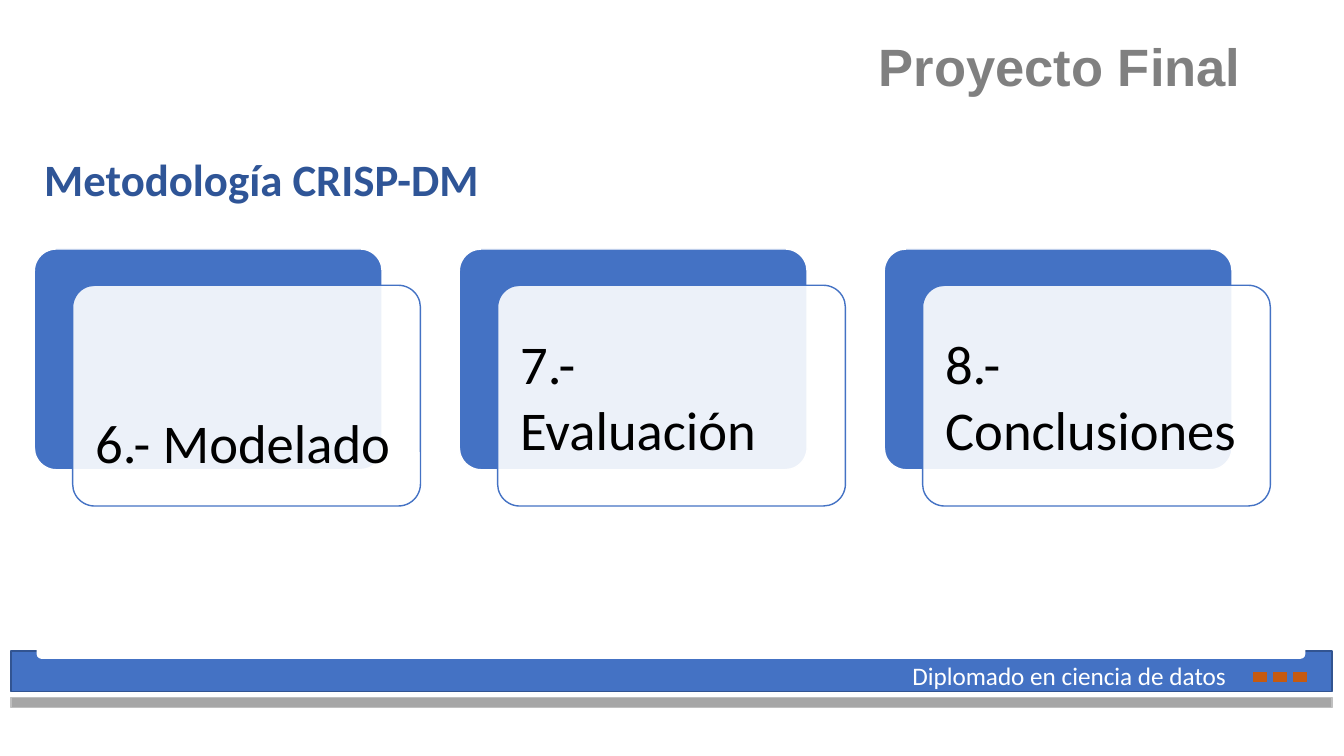
from lxml import etree
from pptx import Presentation, util as u
from pptx.dml.color import RGBColor
from pptx.enum import shapes, text
from pptx.oxml.ns import qn

TITLE = "Proyecto Final"
SUBTITLE = "Metodología CRISP-DM"
FOOTER = "Diplomado en ciencia de datos"
# Phase, vertical anchor, bottom inset
PHASES = [
    ("6.- Modelado", text.MSO_ANCHOR.BOTTOM, 0.25),
    ("7.- Evaluación", text.MSO_ANCHOR.MIDDLE, 0.16),
    ("8.- Conclusiones", text.MSO_ANCHOR.MIDDLE, 0.16),
]

BLUE = RGBColor(0x44, 0x72, 0xC4)
DARK_BLUE = RGBColor(0x32, 0x54, 0x91)
HEADING_BLUE = RGBColor(0x2F, 0x55, 0x97)
GRAY = RGBColor(0x80, 0x80, 0x80)
BAR_GRAY = RGBColor(0xA6, 0xA6, 0xA6)
EDGE_GRAY = RGBColor(0xBF, 0xBF, 0xBF)
ORANGE = RGBColor(0xC5, 0x5A, 0x11)
WHITE = RGBColor(0xFF, 0xFF, 0xFF)
BLACK = RGBColor(0, 0, 0)

RECT = shapes.MSO_SHAPE.RECTANGLE
ROUNDED = shapes.MSO_SHAPE.ROUNDED_RECTANGLE

WIDTH, HEIGHT = 13.33, 7.5
MARGIN = 0.34
CARD_W, CARD_H, CARD_TOP, CARD_PITCH = 3.45, 2.19, 2.47, 4.215
SHIFT_X, SHIFT_Y, INSET = 0.38, 0.36, 0.16
BAR_LEFT, BAR_W = 0.11, 13.1
DOT_LEFT, DOT_PITCH = 12.43, 0.2

deck = Presentation()
deck.slide_width, deck.slide_height = u.Inches(WIDTH), u.Inches(HEIGHT)
slide = deck.slides.add_slide(deck.slide_layouts[5])


def add_block(kind, left, top, width, height, fill, line):
    """Add a flat filled preset shape, measured in inches."""
    block = slide.shapes.add_shape(
        kind, *(u.Inches(n) for n in (left, top, width, height)))
    block.shadow.inherit = False
    block.fill.solid()
    block.fill.fore_color.rgb = fill
    block.line.color.rgb = line
    block.line.width = u.Pt(1)
    return block


def write(frame, words, size, color, font="Calibri", bold=False,
          align=text.PP_ALIGN.LEFT):
    """Put one formatted paragraph in a text frame."""
    frame.word_wrap = True
    paragraph = frame.paragraphs[0]
    paragraph.text = words
    paragraph.alignment = align
    paragraph.font.name, paragraph.font.size = font, u.Pt(size)
    paragraph.font.bold = bold
    paragraph.font.color.rgb = color
    return paragraph


def add_label(left, top, width, height, *style, **options):
    """Add a text box with one formatted paragraph."""
    label = slide.shapes.add_textbox(
        *(u.Inches(n) for n in (left, top, width, height)))
    write(label.text_frame, *style, **options)


def add_phase(column, words, anchor, bottom):
    """Add a blue card with a translucent text card shifted over it."""
    left = MARGIN + column * CARD_PITCH
    back = add_block(ROUNDED, left, CARD_TOP, CARD_W, CARD_H, BLUE, WHITE)
    front = add_block(ROUNDED, left + SHIFT_X, CARD_TOP + SHIFT_Y,
                      CARD_W, CARD_H, WHITE, BLUE)
    back.adjustments[0] = front.adjustments[0] = 0.1
    tint = front.fill._xPr.find(qn("a:solidFill"))[0]
    etree.SubElement(tint, qn("a:alpha")).set("val", "90000")
    frame = front.text_frame
    frame.margin_left = frame.margin_right = frame.margin_top = u.Inches(INSET)
    frame.margin_bottom = u.Inches(bottom)
    frame.vertical_anchor = anchor
    write(frame, words, 39, BLACK)


title = slide.shapes.title
title.left, title.top = u.Inches(1.41), u.Inches(0.4)
title.width, title.height = u.Inches(11), u.Inches(0.6)
title.text_frame.auto_size = text.MSO_AUTO_SIZE.NONE
title.text_frame.vertical_anchor = text.MSO_ANCHOR.BOTTOM
heading = write(title.text_frame, TITLE, 37.5, GRAY, "Arial", True,
                text.PP_ALIGN.RIGHT)
heading.line_spacing = 0.7

add_block(RECT, BAR_LEFT, 6.46, BAR_W, 0.4, BLUE, DARK_BLUE)
add_block(ROUNDED, 0.37, 6.27, 12.57, 0.26, WHITE, WHITE)
add_block(RECT, BAR_LEFT, 6.92, BAR_W, 0.1, BAR_GRAY, EDGE_GRAY)
for dot in range(3):
    add_block(RECT, DOT_LEFT + dot * DOT_PITCH, 6.67, 0.13, 0.09,
              ORANGE, ORANGE)
add_label(8.95, 6.5, 3.45, 0.4, FOOTER, 18, WHITE)

for column, phase in enumerate(PHASES):
    add_phase(column, *phase)
add_label(MARGIN, 1.46, 5.24, 0.64, SUBTITLE, 32, HEADING_BLUE, bold=True)

deck.save("out.pptx")
